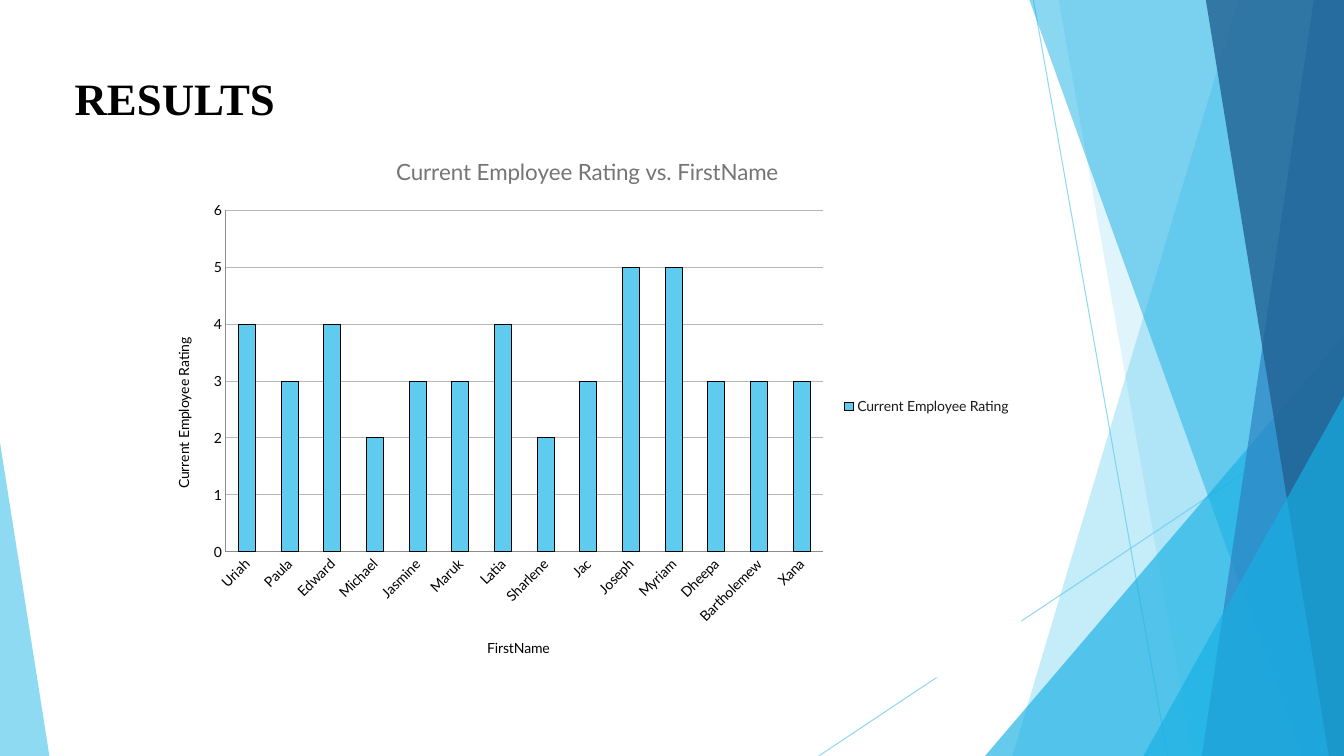
from pptx import Presentation
from pptx.chart.data import CategoryChartData
from pptx.dml.color import RGBColor
from pptx.enum.chart import XL_CHART_TYPE, XL_LEGEND_POSITION, XL_TICK_MARK
from pptx.enum.shapes import MSO_CONNECTOR, MSO_SHAPE
from pptx.enum.text import MSO_ANCHOR, PP_ALIGN
from pptx.oxml import parse_xml
from pptx.oxml.ns import nsdecls, qn
from pptx.util import Inches, Pt

COLUMNS = XL_CHART_TYPE.COLUMN_CLUSTERED
LEGEND_RIGHT = XL_LEGEND_POSITION.RIGHT
NO_TICK = XL_TICK_MARK.NONE
STRAIGHT = MSO_CONNECTOR.STRAIGHT
TRIANGLE = MSO_SHAPE.ISOSCELES_TRIANGLE
ANCHOR_TOP = MSO_ANCHOR.TOP
ALIGN_LEFT = PP_ALIGN.LEFT

BLACK = RGBColor(0x00, 0x00, 0x00)
SKY = RGBColor(0x5F, 0xCB, 0xEF)
CYAN = RGBColor(0x17, 0xB0, 0xE4)
BLUE = RGBColor(0x2E, 0x83, 0xC3)
NAVY = RGBColor(0x22, 0x62, 0x92)
TITLE_GRAY = RGBColor(0x75, 0x75, 0x75)
GRID_GRAY = RGBColor(0xB7, 0xB7, 0xB7)
AXIS_GRAY = RGBColor(0x8C, 0x8C, 0x8C)
LEGEND_GRAY = RGBColor(0x1A, 0x1A, 0x1A)

WIDTH, HEIGHT = 13.33, 7.5
RATINGS = {
    "Uriah": 4, "Paula": 3, "Edward": 4, "Michael": 2, "Jasmine": 3,
    "Maruk": 3, "Latia": 4, "Sharlene": 2, "Jac": 3, "Joseph": 5,
    "Myriam": 5, "Dheepa": 3, "Bartholemew": 3, "Xana": 3,
}


def set_opacity(shape, percent):
    color = next(shape.element.spPr.iter(qn("a:srgbClr")))
    color.append(parse_xml(f'<a:alpha {nsdecls("a")} val="{percent * 1000}"/>'))


def style_font(font, size, color):
    font.name = "Lato"
    font.size = Pt(size)
    font.bold = False
    font.color.rgb = color


deck = Presentation()
deck.slide_width, deck.slide_height = Inches(WIDTH), Inches(HEIGHT)
page = deck.slides.add_slide(deck.slide_layouts[5])

# Thin crossing lines
for x1, y1, x2, y2 in [(10.25, 0, 11.58, HEIGHT), (WIDTH, 4.03, 8.12, HEIGHT)]:
    line = page.shapes.add_connector(STRAIGHT, Inches(x1), Inches(y1), Inches(x2), Inches(y2))
    line.line.color.rgb = SKY
    line.line.width = Pt(0.75)
    set_opacity(line, 70)
    line.element.spPr.append(parse_xml(f'<a:effectLst {nsdecls("a")}/>'))

# Translucent facets: bands run from a top x to a bottom x and fill to the right
# edge; triangles stand on the bottom edge as (left, top, width, apex share)
facets = [
    ("band", (12.28, 10.04), SKY, 36),
    ("band", (10.5, 11.83), SKY, 20),
    ("triangle", (9.77, 3.33, 3.56, 1), CYAN, 66),
    ("band", (10.21, 12.91), CYAN, 50),
    ("band", (13.03, 11.92), BLUE, 70),
    ("band", (11.96, 13.18), NAVY, 80),
    ("triangle", (11.34, 3.93, 1.99, 1), CYAN, 66),
    ("triangle", (0, 4.39, 0.49, 0), SKY, 70),
]
for kind, place, color, opacity in facets:
    if kind == "band":
        top_x, bottom_x = place
        outline = page.shapes.build_freeform(Inches(top_x), 0)
        corners = [(WIDTH, 0), (WIDTH, HEIGHT), (bottom_x, HEIGHT)]
        outline.add_line_segments([(Inches(x), Inches(y)) for x, y in corners])
        facet = outline.convert_to_shape()
    else:
        left, top, width, apex = place
        facet = page.shapes.add_shape(
            TRIANGLE, Inches(left), Inches(top), Inches(width), Inches(HEIGHT - top))
        facet.adjustments[0] = apex
    facet.shadow.inherit = False
    facet.fill.solid()
    facet.fill.fore_color.rgb = color
    facet.line.fill.background()
    set_opacity(facet, opacity)

# Title
title = page.shapes.title
title.left, title.top, title.width, title.height = map(Inches, (0.64, 0.65, 7.59, 0.63))
title.text_frame.text = "RESULTS"
title.text_frame.vertical_anchor = ANCHOR_TOP
para = title.text_frame.paragraphs[0]
para.alignment = ALIGN_LEFT
span = para.runs[0]
span.font.name = "Times New Roman"
span.font.size = Pt(32)
span.font.bold = True
span.font.color.rgb = BLACK

# Ratings chart
chart_data = CategoryChartData()
chart_data.categories = list(RATINGS)
chart_data.add_series("Current Employee Rating", list(RATINGS.values()))
chart = page.shapes.add_chart(
    COLUMNS, Inches(1.52), Inches(1.34), Inches(8.61), Inches(5.38), chart_data).chart
style_font(chart.font, 10, BLACK)
chart.element.find(qn("c:chart")).addnext(parse_xml(
    f'<c:spPr {nsdecls("c", "a")}><a:solidFill><a:srgbClr val="FFFFFF"/></a:solidFill>'
    '<a:ln><a:noFill/></a:ln></c:spPr>'))

chart.has_title = True
chart.has_legend = True
chart.legend.position = LEGEND_RIGHT
chart.legend.include_in_layout = False
style_font(chart.legend.font, 10, LEGEND_GRAY)

# Bars
plot = chart.plots[0]
plot.vary_by_categories = False
plot.gap_width = 150
bars = plot.series[0]
bars.format.fill.solid()
bars.format.fill.fore_color.rgb = SKY
bars.format.line.color.rgb = BLACK
bars.format.line.width = Pt(0.75)

# Axes and titles
names, ratings = chart.category_axis, chart.value_axis
for owner, text, size, color in [
    (chart, "Current Employee Rating vs. FirstName", 16, TITLE_GRAY),
    (names, "FirstName", 10, BLACK),
    (ratings, "Current Employee Rating", 10, BLACK),
]:
    heading = owner.chart_title if owner is chart else owner.axis_title
    heading.text_frame.text = text
    style_font(heading.text_frame.paragraphs[0].runs[0].font, size, color)
for axis in (names, ratings):
    axis.major_tick_mark = NO_TICK
    axis.minor_tick_mark = NO_TICK
    axis.format.line.color.rgb = AXIS_GRAY
    style_font(axis.tick_labels.font, 10, BLACK)
ratings.minimum_scale, ratings.maximum_scale, ratings.major_unit = 0, 6, 1
ratings.major_gridlines.format.line.color.rgb = GRID_GRAY
ratings.major_gridlines.format.line.width = Pt(0.75)

# Slanted names
names_axis = next(chart.element.iter(qn("c:catAx")))
names_axis.find(qn("c:txPr")).find(qn("a:bodyPr")).set("rot", "-2700000")

deck.save("out.pptx")
